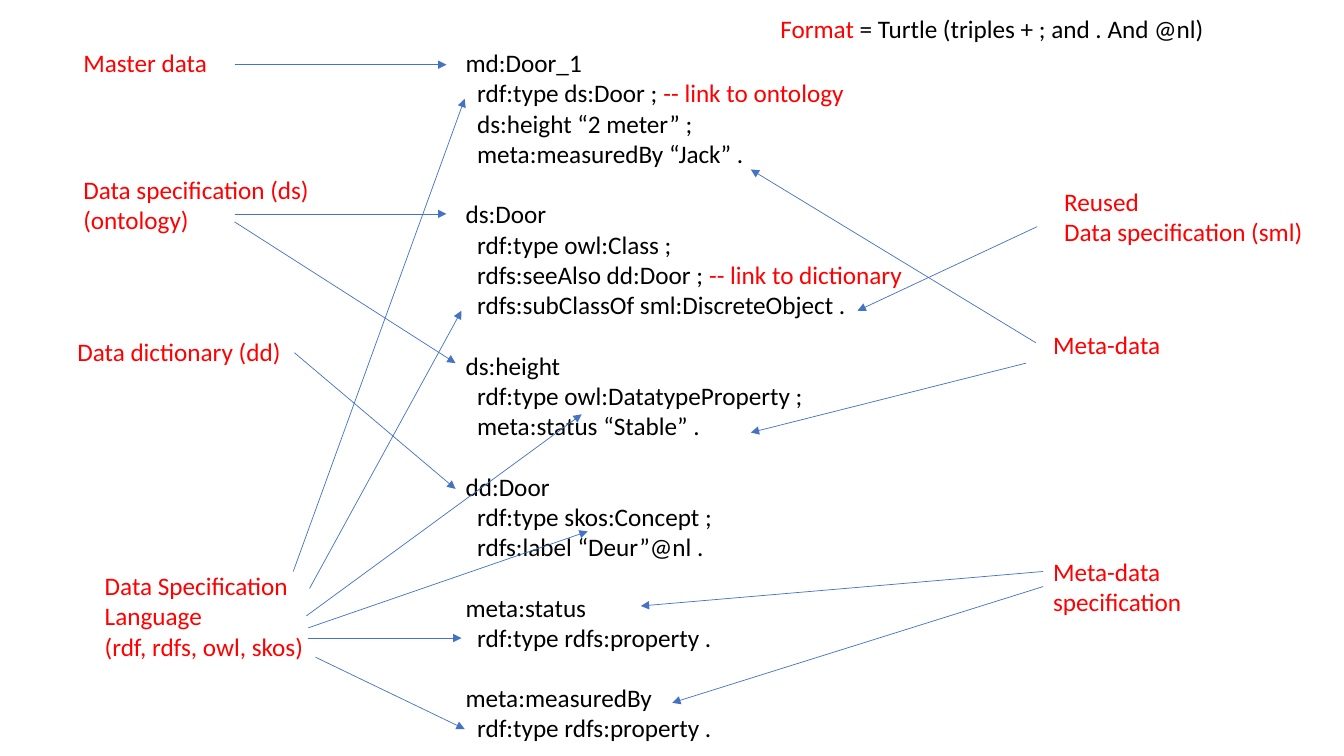
from dataclasses import dataclass

from lxml.etree import SubElement as Sub
from pptx import Presentation
from pptx.dml.color import RGBColor as RGB
from pptx.enum.shapes import MSO_CONNECTOR as Link
from pptx.enum.text import MSO_ANCHOR as Anchor
from pptx.enum.text import MSO_AUTO_SIZE as Fit
from pptx.enum.text import PP_ALIGN as Align
from pptx.oxml.ns import qn
from pptx.util import Cm, Pt


@dataclass(frozen=True)
class Theme:
    """Colours, font and sizes of the slide."""
    ink: RGB = RGB(0, 0, 0)
    note: RGB = RGB(255, 0, 0)
    line: RGB = RGB(0x44, 0x72, 0xC4)
    font: str = "Calibri"
    size: float = 18
    gap: float = 21.6
    width: float = 0.5


THEME = Theme()

# Boxes are left, top, width, height in cm.
HEAD = (19.41, 0.2, 11.33, 1.02)
CODE = (11.48, 1.07, 11.63, 18.72)

# Each block is a subject and its indented lines; a pair adds a red remark.
BLOCKS = [
    ("md:Door_1", ("rdf:type ds:Door ; ", "-- link to ontology"),
     "ds:height “2 meter” ;", "meta:measuredBy “Jack” ."),
    ("ds:Door", "rdf:type owl:Class ;",
     ("rdfs:seeAlso dd:Door ; ", "-- link to dictionary"),
     "rdfs:subClassOf sml:DiscreteObject ."),
    ("ds:height", "rdf:type owl:DatatypeProperty ;", "meta:status “Stable” ."),
    ("dd:Door", "rdf:type skos:Concept ;", "rdfs:label “Deur”@nl ."),
    ("meta:status", "rdf:type rdfs:property ."),
    ("meta:measuredBy", "rdf:type rdfs:property ."),
]

# Label box, its lines, and arrows: start from the label's corner,
# end from the code's corner.
LABELS = [
    ((1.85, 1.07, 3.66, 1.02), ["Master data"],
     [((4.06, 0.56), (-0.23, 0.56))]),
    ((1.85, 4.27, 6.27, 1.8), ["Data specification (ds)", "(ontology)"],
     [((4.06, 1.12), (-0.23, 4.32)), ((4.06, 1.32), (0, 8.08))]),
    ((1.7, 8.36, 5.72, 1.02), ["Data dictionary (dd)"],
     [((5.72, 0.53), (0, 11.25))]),
    ((2.39, 14.25, 5.56, 2.57),
     ["Data Specification", "Language", "(rdf, rdfs, owl, skos)"],
     [((5, 0.15), (0.23, 1.42)), ((5.41, 0.58), (0.15, 6.76)),
      ((5.33, 1.27), (3.18, 9.37)), ((5.38, 1.57), (3.33, 12.32)),
      ((5.36, 1.83), (0.15, 15.01)), ((5.56, 2.31), (0.23, 17.3))]),
    ((26.57, 4.57, 6.6, 1.8), ["Reused", "Data specification (sml)"],
     [((-0.43, 1.14), (10.13, 6.76))]),
    ((26.29, 8.18, 3.25, 1.02), ["Meta-data"],
     [((-0.18, 0.46), (7.44, 3.2)), ((-0.43, 0.97), (7.44, 9.83))]),
    ((26.29, 13.89, 3.78, 1.8), ["Meta-data", "specification"],
     [((0, 0.51), (4.67, 14.2)), ((0, 0.89), (5.46, 16.64))]),
]


def place(shape, box):
    """Move a text shape to its box and return its cleared frame."""
    shape.left, shape.top, shape.width, shape.height = map(Cm, box)
    frame = shape.text_frame
    frame.clear()
    frame.word_wrap = False
    frame.auto_size = Fit.SHAPE_TO_FIT_TEXT
    frame.vertical_anchor = Anchor.TOP
    return frame


def write(frame, *texts, tones=(THEME.ink, THEME.note), indent=0, before=0):
    """Add one paragraph whose runs take the tones in turn."""
    first = frame.paragraphs[0]
    para = frame.add_paragraph() if first.runs else first
    para.alignment = Align.LEFT
    para.line_spacing = 1.0
    para.space_before, para.space_after = Pt(before), Pt(0)
    props = para._p.get_or_add_pPr()
    props.set("marL", str(Cm(indent)))
    props.set("indent", "0")
    Sub(props, qn("a:buNone"))
    for text, tone in zip(texts, tones):
        run = para.add_run()
        run.text = text
        run.font.name, run.font.size = THEME.font, Pt(THEME.size)
        run.font.color.rgb = tone


def arrow(slide, start, end):
    """Draw a thin arrow between two points in cm."""
    link = slide.shapes.add_connector(
        Link.STRAIGHT, *map(Cm, (*start, *end)))
    link.line.color.rgb = THEME.line
    link.line.width = Pt(THEME.width)
    Sub(link.line._get_or_add_ln(), qn("a:tailEnd"), type="triangle")
    Sub(link._element.spPr, qn("a:effectLst"))


def head(slide, box):
    """Fill the title with the format of the data."""
    write(place(slide.shapes.title, box), "Format ",
          "= Turtle (triples + ; and . And @nl)",
          tones=(THEME.note, THEME.ink))


def code(slide, box):
    """Fill the body with the blocks of triples."""
    frame = place(slide.placeholders[1], box)
    for rank, (subject, *facts) in enumerate(BLOCKS):
        write(frame, subject, before=THEME.gap if rank else 0)
        for fact in facts:
            texts = (fact,) if isinstance(fact, str) else fact
            write(frame, *texts, indent=0.29)


def label(slide, box, lines, links, goal):
    """Add a red label and its arrows into the goal box."""
    frame = place(slide.shapes.add_textbox(*map(Cm, box)), box)
    for text in lines:
        write(frame, text, tones=(THEME.note,))
    for start, end in links:
        arrow(slide, (box[0] + start[0], box[1] + start[1]),
              (goal[0] + end[0], goal[1] + end[1]))


def main():
    """Build and save the slide."""
    deck = Presentation()
    deck.slide_width, deck.slide_height = Cm(33.87), Cm(19.05)
    slide = deck.slides.add_slide(deck.slide_layouts[1])
    code(slide, CODE)
    head(slide, HEAD)
    for box, lines, links in LABELS:
        label(slide, box, lines, links, CODE)
    deck.save("out.pptx")


main()
